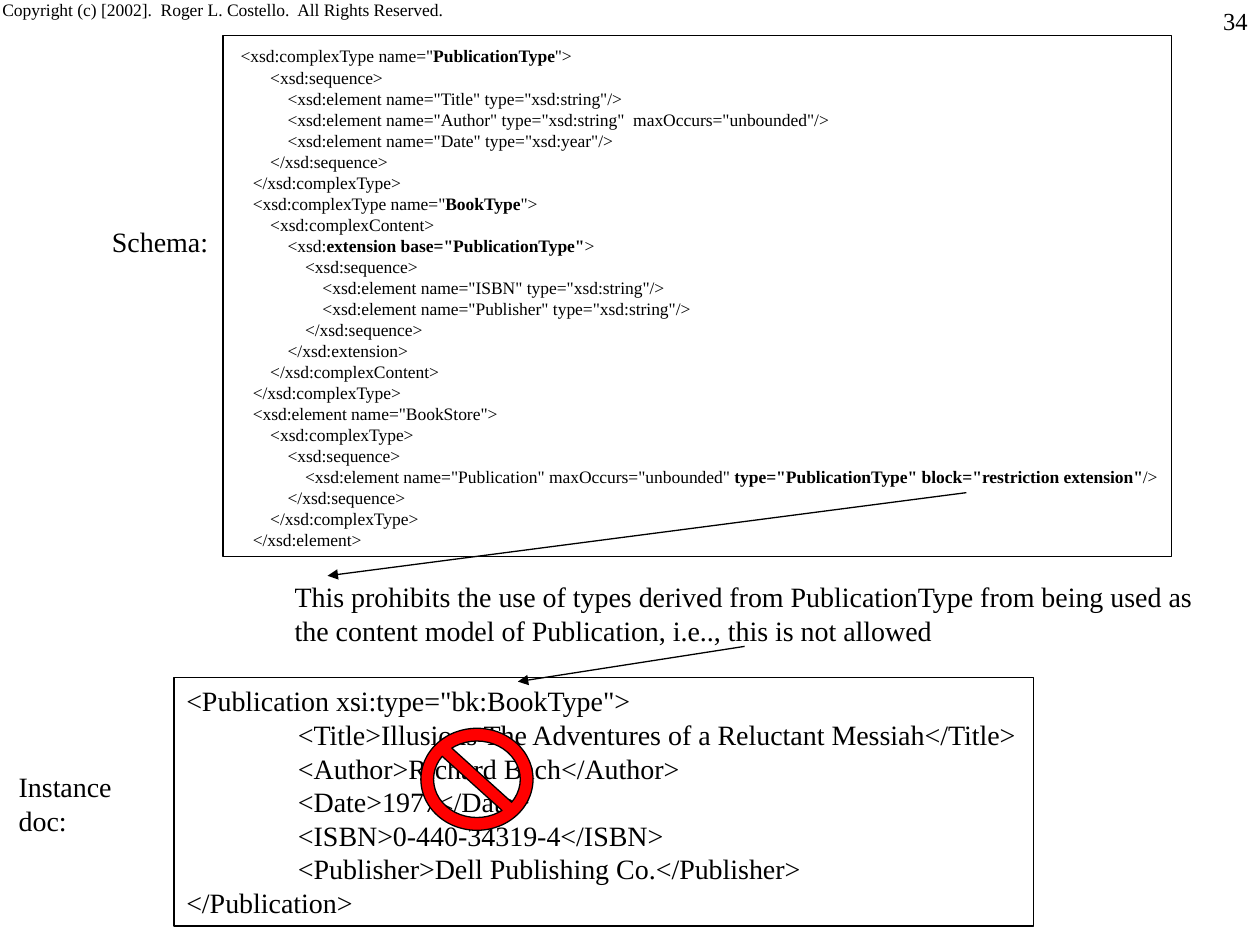
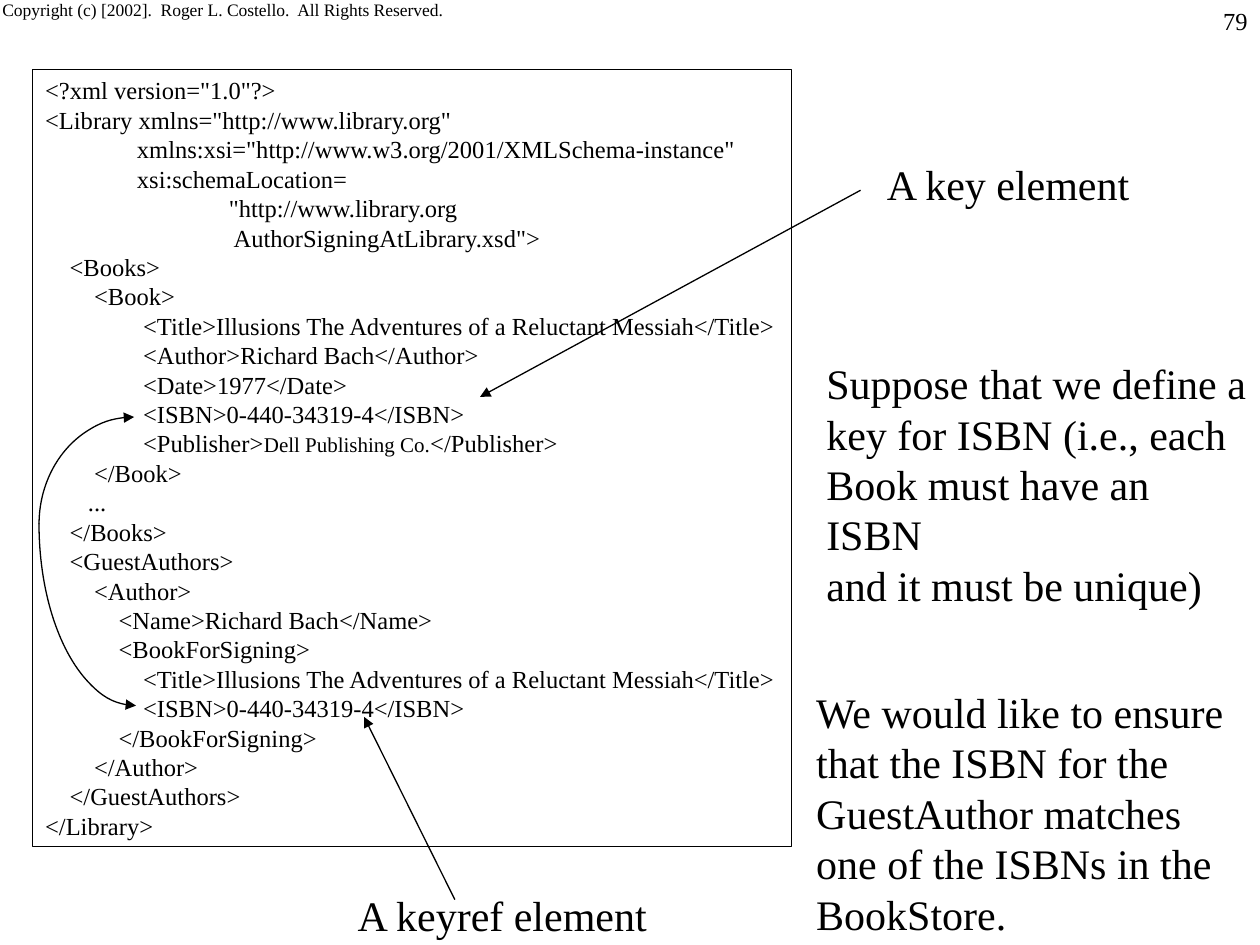
from pptx import Presentation
from pptx.dml.color import RGBColor
from pptx.enum.shapes import MSO_CONNECTOR, MSO_SHAPE as SHAPE
from pptx.enum.text import MSO_ANCHOR as ANCHOR, MSO_AUTO_SIZE as FIT, PP_ALIGN as ALIGN
from pptx.oxml.ns import qn
from pptx.util import Inches, Pt
from lxml import etree

COLOURS = {"ink": "000000", "ban": "FF0000"}
FONT = "Times New Roman"
COPYRIGHT = "Copyright (c) [2002].  Roger L. Costello.  All Rights Reserved."

# In the listings, a pair of bars encloses an emphasised span.
PUBLICATION_TYPE = ''' ||<xsd:complexType name="|PublicationType|">
        <xsd:sequence>
            <xsd:element name="Title" type="xsd:string"/>
            <xsd:element name="Author" type="xsd:string"  maxOccurs="unbounded"/>
            <xsd:element name="Date" type="xsd:year"/>
        </xsd:sequence>
    </xsd:complexType>'''

BOOK_TYPE = '''    <xsd:complexType name="|BookType|">
        <xsd:complexContent>
            <xsd:|extension base="PublicationType"|>
                <xsd:sequence>
                    <xsd:element name="ISBN" type="xsd:string"/>
                    <xsd:element name="Publisher" type="xsd:string"/>
                </xsd:sequence>
            </xsd:extension>
        </xsd:complexContent>
    </xsd:complexType>'''

BOOK_STORE = '''    <xsd:element name="BookStore">
        <xsd:complexType>
            <xsd:sequence>
                <xsd:element name="Publication" maxOccurs="unbounded"| type="PublicationType" block="restriction extension"|/>
            </xsd:sequence>
        </xsd:complexType>
    </xsd:element>'''

INSTANCE = '''<Publication xsi:type="bk:BookType">
                <Title>Illusions The Adventures of a Reluctant Messiah</Title>
                <Author>Richard Bach</Author>
                <Date>1977</Date>
                <ISBN>0-440-34319-4</ISBN>
                <Publisher>Dell Publishing Co.</Publisher>
</Publication>'''

LIBRARY_HEAD = '''<?xml version="1.0"?>
<Library xmlns="http://www.library.org"
               xmlns:xsi="http://www.w3.org/2001/XMLSchema-instance"
               xsi:schemaLocation=
                              "http://www.library.org
                               AuthorSigningAtLibrary.xsd">'''

BOOKS = '''    <Books>
        <Book>
                <Title>Illusions The Adventures of a Reluctant Messiah</Title>
                <Author>Richard Bach</Author>
                <Date>1977</Date>
                <ISBN>0-440-34319-4</ISBN>
                <Publisher>|Dell Publishing Co.|</Publisher>
        </Book>
       ...
    </Books>'''

GUEST_AUTHORS = '''    <GuestAuthors>
        <Author>
            <Name>Richard Bach</Name>
            <BookForSigning>
                <Title>Illusions The Adventures of a Reluctant Messiah</Title>
                <ISBN>0-440-34319-4</ISBN>
            </BookForSigning>
        </Author>
    </GuestAuthors>
</Library>'''


def colour(name):
    return RGBColor.from_string(COLOURS[name])


def inches(values):
    return [Inches(value) for value in values]


def draw_line(shape):
    shape.line.color.rgb = colour("ink")
    shape.line.width = Pt(0.75)


def add_arrowhead(shape, end):
    """Put a triangle at "headEnd" (start) or "tailEnd" (finish)."""
    outline = shape._element.spPr.find(qn("a:ln"))
    etree.SubElement(outline, qn("a:" + end), type="triangle")


def write(frame, lines, size, align=ALIGN.LEFT):
    frame.word_wrap = False
    frame.auto_size = FIT.SHAPE_TO_FIT_TEXT
    frame.vertical_anchor = ANCHOR.TOP
    for index, line in enumerate(lines):
        para = frame.add_paragraph() if index else frame.paragraphs[0]
        para.alignment = align
        para.font.name = FONT
        para.font.size = Pt(size)
        para.font.color.rgb = colour("ink")
        for number, part in enumerate(line.split("|")):
            if part:
                span = para.add_run()
                span.text = part
                if number % 2:
                    emphasise(span, size)


def emphasise(span, size):
    """Small listings use bold; larger ones use a smaller size."""
    if size == 10:
        span.font.bold = True
    else:
        span.font.size = Pt(size - 2)


def add_label(page, box, text, size, align=ALIGN.LEFT):
    label = page.shapes.add_textbox(*inches(box))
    write(label.text_frame, text.split("\n"), size, align)
    return label.text_frame


def add_listing(page, box, blocks, size):
    panel = page.shapes.add_shape(SHAPE.RECTANGLE, *inches(box))
    panel.shadow.inherit = False
    panel.fill.background()
    draw_line(panel)
    lines = [line for block in blocks for line in block.split("\n")]
    write(panel.text_frame, lines, size)
    return panel.text_frame


def add_arrow(page, start, finish):
    arrow = page.shapes.add_connector(MSO_CONNECTOR.STRAIGHT, *inches(start + finish))
    draw_line(arrow)
    add_arrowhead(arrow, "tailEnd")
    etree.SubElement(arrow._element.spPr, qn("a:effectLst"))


def add_quarter_arc(page, box, first_angle, end):
    arc = page.shapes.add_shape(SHAPE.ARC, *inches(box))
    # Angles are stored in 60000ths of a degree, adjustments in 100000ths
    arc.adjustments[0] = first_angle * 0.6
    arc.adjustments[1] = (first_angle + 90) * 0.6
    arc.shadow.inherit = False
    arc.fill.background()
    draw_line(arc)
    add_arrowhead(arc, end)


def add_ban_sign(page, box):
    sign = page.shapes.add_shape(SHAPE.NO_SYMBOL, *inches(box))
    sign.adjustments[0] = 0.125
    sign.shadow.inherit = False
    sign.fill.solid()
    sign.fill.fore_color.rgb = colour("ban")
    draw_line(sign)


def add_page(deck, number):
    page = deck.slides.add_slide(deck.slide_layouts[6])
    # Copyright line, resting on the lower edge of its box
    notice = add_label(page, (-0.08, -0.25, 3.79, 0.5), COPYRIGHT, 10)
    notice.auto_size = FIT.NONE
    notice.vertical_anchor = ANCHOR.BOTTOM
    notice.margin_bottom = Inches(0.09)
    # Page number
    corner = add_label(page, (7.92, 0, 2.08, 0.5), str(number), 14, ALIGN.RIGHT)
    corner.auto_size = FIT.NONE
    corner.word_wrap = True
    return page


def build_block_page(deck):
    page = add_page(deck, 34)
    # Listings and their labels
    schema = add_listing(page, (1.77, 0.28, 7.53, 4.14),
                         (PUBLICATION_TYPE, BOOK_TYPE, BOOK_STORE), 10)
    schema.paragraphs[0].runs[0].font.size = Pt(12)
    add_listing(page, (1.38, 5.38, 6.82, 1.97), (INSTANCE,), 16)
    add_label(page, (0.79, 1.73, 0.96, 0.37), "Schema:", 16)
    add_label(page, (0.05, 6.06, 1.37, 0.37), "Instance doc:", 16)
    # Explanation, with arrows leading to it and on to the instance
    add_label(page, (2.24, 4.55, 7.39, 0.64),
              "This prohibits the use of types derived from PublicationType from being used as\n"
              "the content model of Publication, i.e.., this is not allowed", 16)
    add_arrow(page, (5.91, 5.13), (4.11, 5.41))
    add_arrow(page, (7.67, 3.91), (2.6, 4.57))
    add_ban_sign(page, (3.34, 5.78, 0.89, 0.81))


def build_key_page(deck):
    page = add_page(deck, 79)
    add_listing(page, (0.26, 0.55, 6.02, 6.17), (LIBRARY_HEAD, BOOKS, GUEST_AUTHORS), 14)
    # Explanations
    add_label(page, (6.46, 2.79, 3.6, 1.7),
              "Suppose that we define a\nkey for ISBN (i.e., each\n"
              "Book must have an ISBN\nand it must be unique)", 24)
    add_label(page, (6.38, 5.4, 3.46, 2.1),
              "We would like to ensure\nthat the ISBN for the\nGuestAuthor matches\n"
              "one of the ISBNs in the\nBookStore.", 24)
    # Curve that joins the two ISBN elements
    add_quarter_arc(page, (0.31, 2.71, 1.54, 2.89), 90, "headEnd")
    add_quarter_arc(page, (0.31, 3.31, 1.51, 1.7), 180, "tailEnd")
    # Callouts
    add_arrow(page, (6.83, 1.51), (3.81, 3.15))
    add_label(page, (6.94, 1.21, 2.14, 0.5), "A key element", 24)
    add_arrow(page, (3.61, 7.14), (2.89, 5.69))
    add_label(page, (2.74, 7.01, 2.51, 0.5), "A keyref element", 24)


def main():
    deck = Presentation()
    deck.slide_width, deck.slide_height = Inches(10), Inches(7.5)
    build_block_page(deck)
    build_key_page(deck)
    deck.save("out.pptx")


if __name__ == "__main__":
    main()
